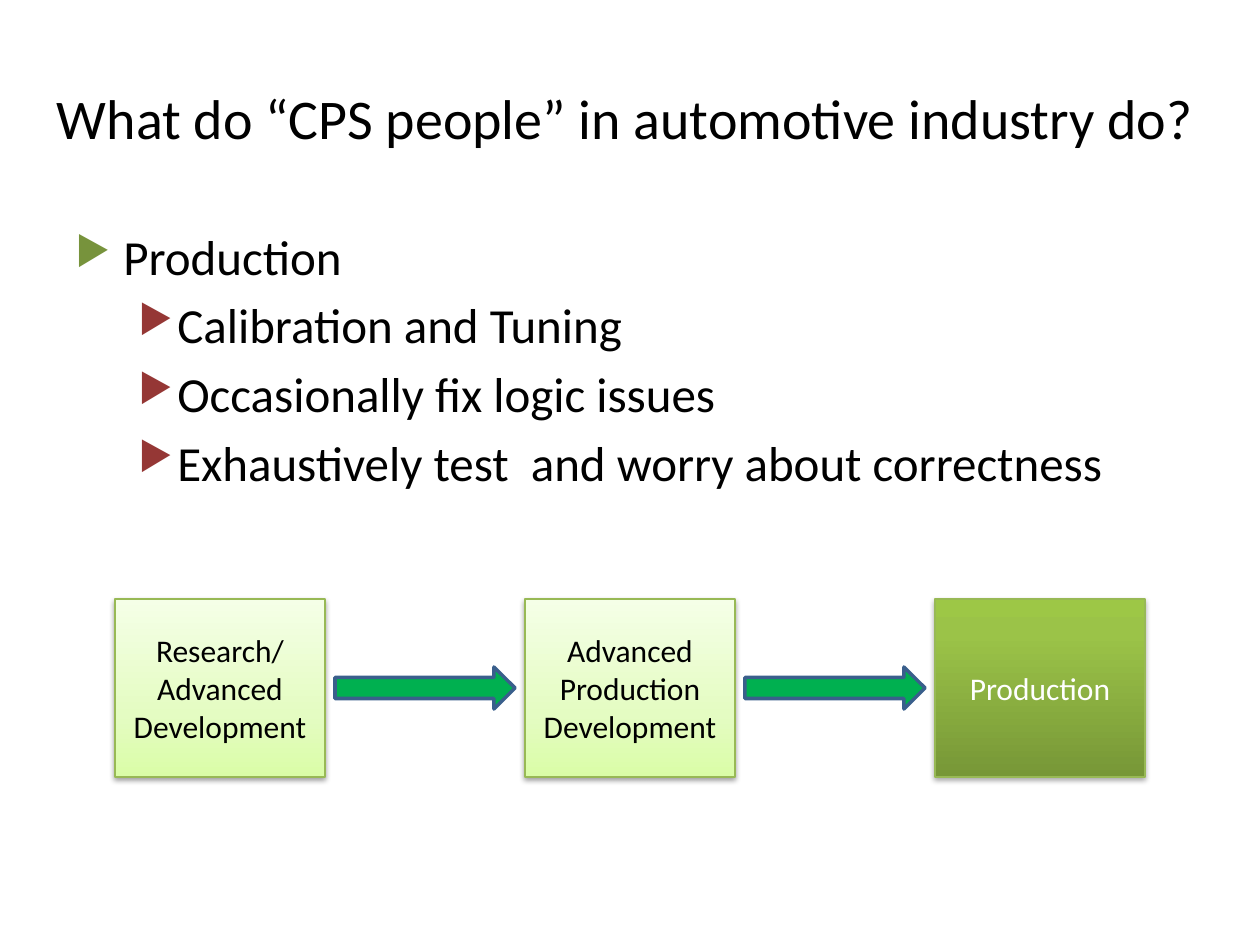
import lxml.etree
import pptx
import pptx.dml.color
import pptx.enum.shapes
import pptx.enum.text
import pptx.oxml.ns
import pptx.util

RGB = pptx.dml.color.RGBColor
SHAPE = pptx.enum.shapes.MSO_SHAPE
ALIGN = pptx.enum.text.PP_ALIGN
ANCHOR = pptx.enum.text.MSO_ANCHOR
qn = pptx.oxml.ns.qn

BLACK = RGB(0x00, 0x00, 0x00)
WHITE = RGB(0xFF, 0xFF, 0xFF)
BOX_LINE = RGB(0x98, 0xB9, 0x55)
ARROW_FILL = RGB(0x00, 0xB0, 0x50)
ARROW_LINE = RGB(0x3A, 0x5F, 0x8C)
BULLET_GREEN = RGB(0x77, 0x93, 0x3C)
BULLET_RED = RGB(0x95, 0x37, 0x35)
PALE = [(0, RGB(0xDA, 0xFD, 0xA7)), (35, RGB(0xE4, 0xFC, 0xC2)), (100, RGB(0xF5, 0xFF, 0xE7))]
DARK = [(0, RGB(0x77, 0x97, 0x37)), (80, RGB(0x9B, 0xC3, 0x48)), (100, RGB(0x9D, 0xC7, 0x46))]

# bullet colour, bullet size in percent, text indent and hanging indent in px
LEVELS = [(BULLET_GREEN, 81, 48, 48), (BULLET_RED, 80, 102, 39)]
BULLETS = [
    (0, "Production"),
    (1, "Calibration and Tuning"),
    (1, "Occasionally fix logic issues"),
    (1, "Exhaustively test  and worry about correctness"),
]
STAGES = [
    ("Research/ Advanced Development", PALE, BLACK, 38),
    ("Advanced Production Development", PALE, BLACK, 38),
    ("Production", DARK, WHITE, 35),
]


def px(n):
    return pptx.util.Emu(round(n * 914400 / 126))


def sub(parent, tag, **attrs):
    return lxml.etree.SubElement(parent, qn(tag), {k: str(v) for k, v in attrs.items()})


def apply(obj, formats):
    for name, value in formats.items():
        setattr(obj, name, value)


def write(p, text, size, color):
    r = p.add_run()
    r.text = text
    apply(r.font, {"name": "Calibri", "size": pptx.util.Pt(size)})
    r.font.color.rgb = color


def add_title(s, x, y, w, h):
    tf = s.shapes.add_textbox(px(x), px(y), px(w), px(h)).text_frame
    apply(tf, {"word_wrap": True, "vertical_anchor": ANCHOR.MIDDLE})
    p = tf.paragraphs[0]
    p.alignment = ALIGN.CENTER
    write(p, "What do “CPS people” in automotive industry do?", 32, BLACK)


def set_bullet(p, level):
    color, percent, indent, hanging = LEVELS[level]
    pPr = p._p.get_or_add_pPr()
    pPr.set("marL", str(px(indent)))
    pPr.set("indent", str(px(-hanging)))
    sub(sub(pPr, "a:buClr"), "a:srgbClr", val=color)
    sub(pPr, "a:buSzPct", val=percent * 1000)
    sub(pPr, "a:buChar", char="▶")


def add_bullets(s, x, y, w, h):
    tf = s.shapes.add_textbox(px(x), px(y), px(w), px(h)).text_frame
    tf.word_wrap = True
    for i, (level, text) in enumerate(BULLETS):
        p = tf.add_paragraph() if i else tf.paragraphs[0]
        apply(p, {"level": level, "space_before": pptx.util.Pt(5.6 if i else 0)})
        set_bullet(p, level)
        write(p, text, 28, BLACK)


def add_outlined(s, kind, x, y, w, h, line, width):
    sp = s.shapes.add_shape(kind, px(x), px(y), px(w), px(h))
    sp.shadow.inherit = False
    sp.line.color.rgb = line
    sp.line.width = pptx.util.Pt(width)
    return sp


def set_gradient(sp, stops):
    """Fill from bottom to top with any number of stops."""
    sp.fill.gradient()
    sp.fill.gradient_angle = 90
    gs_list = sp._element.spPr.find(".//" + qn("a:gsLst"))
    for gs in list(gs_list):
        gs_list.remove(gs)
    for pos, color in stops:
        sub(sub(gs_list, "a:gs", pos=pos * 1000), "a:srgbClr", val=color)


def set_shadow(sp, alpha):
    effects = sp._element.spPr.find(qn("a:effectLst"))
    shadow = sub(effects, "a:outerShdw", blurRad=pptx.util.Pt(3.1), dist=pptx.util.Pt(1.6),
                 dir=5400000, rotWithShape=0)
    sub(sub(shadow, "a:srgbClr", val=BLACK), "a:alpha", val=alpha * 1000)


def add_stage(s, x, y, w, h, text, stops, color, alpha):
    sp = add_outlined(s, SHAPE.RECTANGLE, x, y, w, h, BOX_LINE, 0.75)
    set_gradient(sp, stops)
    set_shadow(sp, alpha)
    tf = sp.text_frame
    apply(tf, {"word_wrap": True, "vertical_anchor": ANCHOR.MIDDLE})
    p = tf.paragraphs[0]
    p.alignment = ALIGN.CENTER
    write(p, text, 18, color)


def add_flow(s, x, y, w, h):
    """Equal stages spread over the width, with an arrow in each gap."""
    stage_w, arrow_h, margin = 210, 42, 10
    step = (w - stage_w) // (len(STAGES) - 1)
    for i, stage in enumerate(STAGES):
        left = x + i * step
        add_stage(s, left, y, stage_w, h, *stage)
        if i < len(STAGES) - 1:
            sp = add_outlined(s, SHAPE.RIGHT_ARROW, left + stage_w + margin,
                              y + (h - arrow_h) // 2, step - stage_w - 2 * margin, arrow_h,
                              ARROW_LINE, 2)
            sp.fill.solid()
            sp.fill.fore_color.rgb = ARROW_FILL


def main():
    prs = pptx.Presentation()
    apply(prs, {"slide_width": px(1260), "slide_height": px(945)})
    s = prs.slides.add_slide(prs.slide_layouts[6])
    add_bullets(s, 63, 220, 1134, 336)
    add_flow(s, 115, 599, 1030, 178)
    add_title(s, 32, 38, 1187, 158)
    prs.save("out.pptx")


if __name__ == "__main__":
    main()
